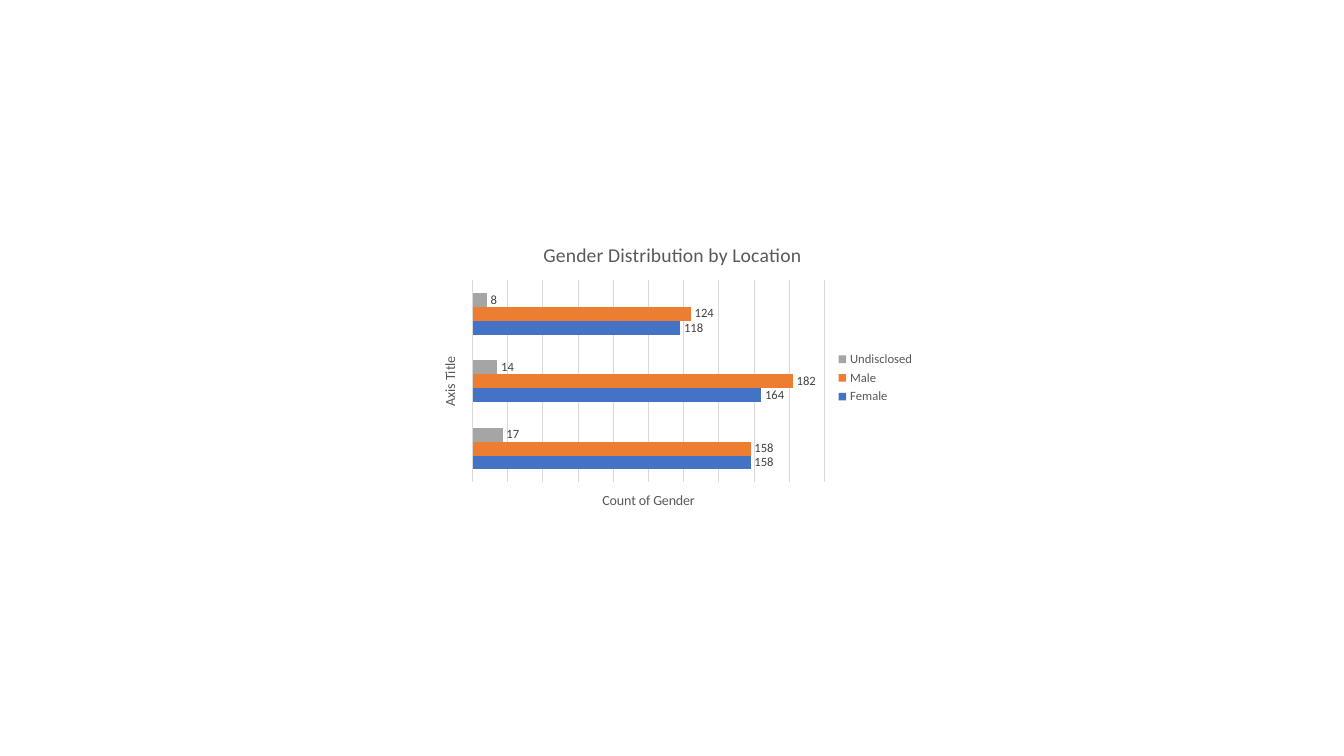
from typing import NamedTuple

from pptx import Presentation
from pptx.chart.data import CategoryChartData
from pptx.dml.color import RGBColor
from pptx.enum.chart import XL_CHART_TYPE as ChartType
from pptx.enum.chart import XL_LABEL_POSITION as LabelPos
from pptx.enum.chart import XL_LEGEND_POSITION as LegendPos
from pptx.enum.chart import XL_TICK_LABEL_POSITION as TickLabelPos
from pptx.enum.chart import XL_TICK_MARK as TickMark
from pptx.util import Inches, Pt


class Gender(NamedTuple):
    name: str
    counts: tuple[int, ...]
    color: str


GENDERS = [
    Gender("Female", (158, 164, 118), "4472C4"),
    Gender("Male", (158, 182, 124), "ED7D31"),
    Gender("Undisclosed", (17, 14, 8), "A5A5A5"),
]
LOCATIONS = ["1", "2", "3"]
GRAY = "595959"


def rgb(color: str) -> RGBColor:
    return RGBColor.from_string(color)


def set_font(font, size: float, color: str) -> None:
    values = {"name": "Calibri", "size": Pt(size), "bold": False}
    for key, value in values.items():
        setattr(font, key, value)
    font.color.rgb = rgb(color)


def add_title(owner, text: str, size: float) -> None:
    """Give a chart or an axis its title."""
    p = (owner.chart_title if hasattr(owner, "chart_title")
         else owner.axis_title).text_frame.paragraphs[0]
    r = p.add_run()
    r.text = text
    set_font(r.font, size, GRAY)


def style_series(series, gender: Gender) -> None:
    series.format.fill.solid()
    series.format.fill.fore_color.rgb = rgb(gender.color)
    series.invert_if_negative = False
    labels = series.data_labels
    labels.show_value = True
    labels.position = LabelPos.OUTSIDE_END
    set_font(labels.font, 9, "404040")


def add_gender_chart(s) -> None:
    data = CategoryChartData()
    data.categories = LOCATIONS
    for gender in GENDERS:
        data.add_series(gender.name, gender.counts)
    chart = s.shapes.add_chart(
        ChartType.BAR_CLUSTERED, Inches(4.17), Inches(2.25),
        Inches(5), Inches(3), data).chart
    set_font(chart.font, 10, "000000")
    add_title(chart, "Gender Distribution by Location", 14)

    # Bars
    plot = chart.plots[0]
    plot.gap_width, plot.overlap, plot.vary_by_categories = 182, 0, False
    for series, gender in zip(plot.series, GENDERS):
        style_series(series, gender)

    # Hidden axes that keep their titles and the grid
    counts = chart.value_axis
    counts.minimum_scale, counts.maximum_scale, counts.major_unit = 0, 200, 20
    grid = counts.major_gridlines.format.line
    grid.width = Pt(0.75)
    grid.color.rgb = rgb("D9D9D9")
    for axis, text in ((chart.category_axis, "Axis Title"),
                       (counts, "Count of Gender")):
        add_title(axis, text, 10)
        axis.visible = False
        axis.major_tick_mark = TickMark.NONE
        axis.tick_label_position = TickLabelPos.NEXT_TO_AXIS

    # Legend
    chart.has_legend = True
    chart.legend.position = LegendPos.RIGHT
    chart.legend.include_in_layout = False
    set_font(chart.legend.font, 9, GRAY)


def main() -> None:
    prs = Presentation()
    prs.slide_width, prs.slide_height = Inches(13.33), Inches(7.5)
    s = prs.slides.add_slide(prs.slide_layouts[6])
    add_gender_chart(s)
    prs.save("out.pptx")


if __name__ == "__main__":
    main()
